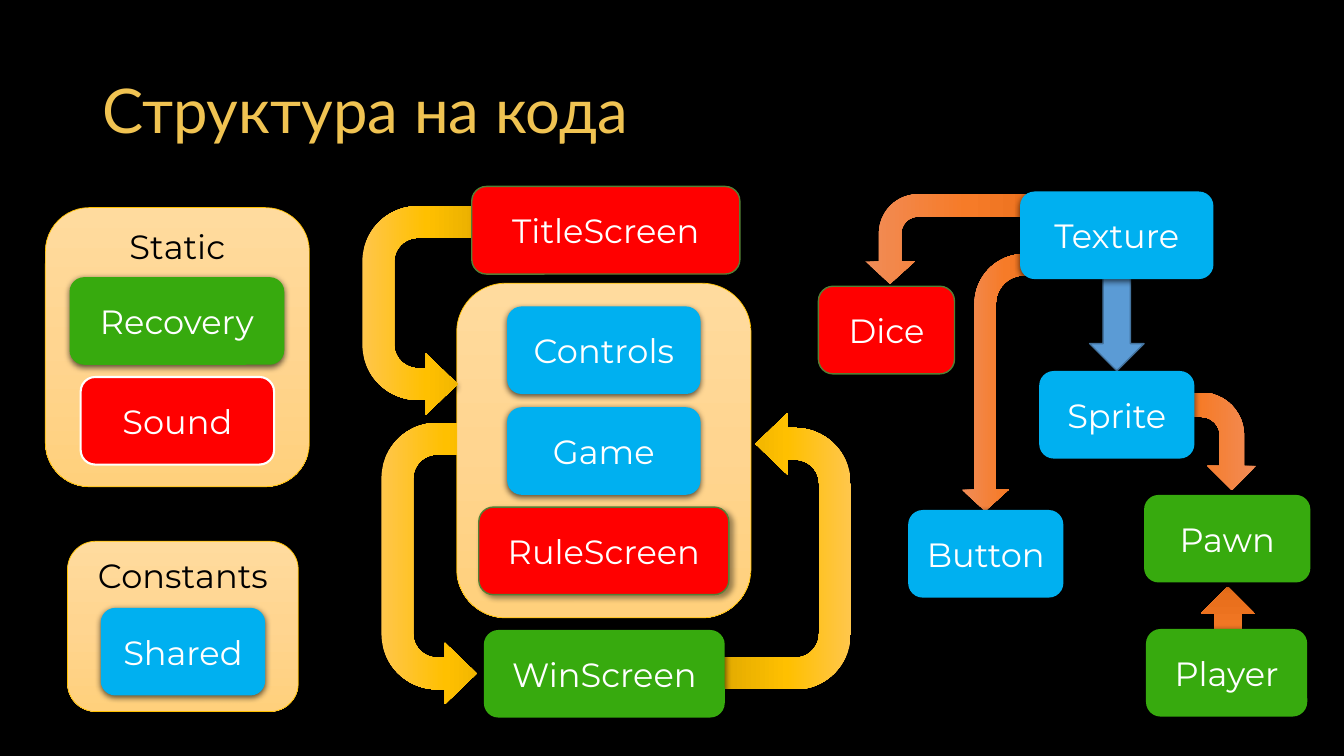
from lxml.etree import SubElement
from pptx import Presentation
from pptx.dml.color import RGBColor
from pptx.enum.shapes import MSO_SHAPE as Preset
from pptx.enum.text import MSO_ANCHOR as Anchor, PP_ALIGN as Align
from pptx.oxml.ns import qn
from pptx.util import Pt

COLORS = {
    "background": "000000", "title": "F0C352", "dark": "000000", "light": "FFFFFF",
    "blue": "00B0F0", "green": "37AA0E", "red": "FF0000",
    "red_edge": "538035", "frame_edge": "FFC000",
    "steel": "5B9BD5", "steel_edge": "43739E",
}
GRADIENTS = {
    "cream": ("FFDB9E", "FFD590", "FFD07C"),
    "orange": ("F18C57", "F67B28", "E56C19"),
    "gold": ("FFC64B", "FFC000", "E3AB00"),
}
SOFT_SHADOW = (63, 4.5, 1.5, 90)
SLANTED_SHADOW = (40, 4, 3, 45)
BOX_HEIGHT = 62.6


def color(name):
    return RGBColor.from_string(COLORS[name])


def write_text(shape, text, size=24, font="Montserrat", ink="light",
               align=Align.CENTER, anchor=Anchor.MIDDLE, line_spacing=None):
    frame = shape.text_frame
    frame.word_wrap = True
    frame.vertical_anchor = anchor
    paragraph = frame.paragraphs[0]
    paragraph.alignment = align
    if line_spacing:
        paragraph.line_spacing = line_spacing
    run = paragraph.add_run()
    run.text = text
    run.font.size = Pt(size)
    run.font.name = font
    run.font.color.rgb = color(ink)


class Diagram:
    def __init__(self, slide):
        self.slide = slide
        slide.background.fill.solid()
        slide.background.fill.fore_color.rgb = color("background")

    def title(self, text, left, top, width, height):
        box = self.slide.shapes.add_textbox(Pt(left), Pt(top), Pt(width), Pt(height))
        write_text(box, text, size=44, font="Lato", ink="title",
                   align=Align.LEFT, line_spacing=0.9)

    def shape(self, preset, place, fill, edge=None, edge_width=1, shadow=None):
        shape = self.slide.shapes.add_shape(preset, *[Pt(length) for length in place])
        if fill in GRADIENTS:
            self.gradient(shape, GRADIENTS[fill])
        else:
            shape.fill.solid()
            shape.fill.fore_color.rgb = color(fill)
        if edge:
            shape.line.color.rgb = color(edge)
            shape.line.width = Pt(edge_width)
        else:
            shape.line.fill.background()
        shape.shadow.inherit = False
        if shadow:
            self.shadow(shape, *shadow)
        return shape

    def gradient(self, shape, stops):
        shape.fill.gradient()
        gradient = shape._element.spPr.find(qn("a:gradFill"))
        stop_list = gradient.find(qn("a:gsLst"))
        stop_list.clear()
        for index, value in enumerate(stops):
            stop = SubElement(stop_list, qn("a:gs"), pos=str(index * 50000))
            SubElement(stop, qn("a:srgbClr"), val=value)
        gradient.find(qn("a:lin")).set("ang", "5400000")

    def shadow(self, shape, opacity, blur, distance, angle):
        effects = shape._element.spPr.find(qn("a:effectLst"))
        outer = SubElement(effects, qn("a:outerShdw"), blurRad=str(Pt(blur)),
                           dist=str(Pt(distance)), dir=str(angle * 60000),
                           rotWithShape="0")
        tint = SubElement(outer, qn("a:srgbClr"), val=COLORS["dark"])
        SubElement(tint, qn("a:alpha"), val=str(opacity * 1000))

    def frame(self, place, text=None):
        shape = self.shape(Preset.ROUNDED_RECTANGLE, place, "cream", "frame_edge", 0.5)
        if text:
            write_text(shape, text, ink="dark", anchor=Anchor.TOP)

    def box(self, text, left, top, width, fill, **style):
        shape = self.shape(Preset.ROUNDED_RECTANGLE, (left, top, width, BOX_HEIGHT),
                           fill, **style)
        write_text(shape, text)

    def arrow(self, preset, place, fill, rotation=0, flip=False, adjustments=()):
        shape = self.shape(preset, place, fill, shadow=SOFT_SHADOW)
        shape.rotation = rotation
        if flip:
            shape._element.spPr.xfrm.set("flipV", "1")
        for index, value in enumerate(adjustments):
            shape.adjustments[index] = value

    def loop(self, place, rotation):
        self.arrow(Preset.U_TURN_ARROW, place, "gold", rotation, True,
                   (0.25, 0.241, 0.25, 0.438, 0.75))


def main():
    presentation = Presentation()
    presentation.slide_width = Pt(960)
    presentation.slide_height = Pt(540)
    diagram = Diagram(presentation.slides.add_slide(presentation.slide_layouts[6]))

    diagram.title("Структура на кода", 66, 28.8, 828, 104.4)

    diagram.arrow(Preset.BENT_ARROW, (625.7, 242.6, 183.6, 61.2), "orange", 90, True,
                  (0.25, 0.275, 0.25, 0.581))
    diagram.arrow(Preset.DOWN_ARROW, (857.5, 419, 38.9, 77), "orange", 180)
    diagram.arrow(Preset.BENT_ARROW, (822.2, 275, 69.8, 80.6), "orange", 90)
    diagram.arrow(Preset.BENT_ARROW, (657.4, 99.4, 64.1, 142.6), "orange", 90, True,
                  (0.25, 0.275, 0.25, 0.438))
    diagram.shape(Preset.DOWN_ARROW, (778.3, 187.9, 38.9, 77), "steel", "steel_edge")

    diagram.loop((463.7, 348.5, 197.3, 90.7), 270)
    diagram.loop((217.4, 357.1, 200.9, 90.7), 90)
    diagram.frame((326.2, 202.3, 210.2, 239))
    diagram.loop((229.7, 176.4, 149, 90.7), 90)
    diagram.frame((32.4, 148.3, 188.6, 199.4), "Static")
    diagram.frame((48.2, 386.6, 164.9, 121.7), "Constants")

    for text, left, top, width, fill in (
        ("Recovery", 49.7, 198, 153.4, "green"),
        ("WinScreen", 345.6, 450, 172.1, "green"),
        ("Player", 818.6, 449.3, 115.2, "green"),
        ("Pawn", 817.2, 353.5, 118.8, "green"),
        ("Controls", 362.2, 218.9, 138.2, "blue"),
        ("Game", 362.2, 290.9, 138.2, "blue"),
        ("Texture", 728.6, 136.8, 138.2, "blue"),
        ("Sprite", 742.3, 265, 110.9, "blue"),
        ("Shared", 72, 434.2, 117.4, "blue"),
        ("Button", 648.7, 364.3, 110.9, "blue"),
    ):
        diagram.box(text, left, top, width, fill, shadow=SOFT_SHADOW)

    for text, left, top, width in (
        ("TitleScreen", 337, 133.2, 191.5),
        ("Dice", 584.6, 204.5, 97.2),
        ("RuleScreen", 342, 362.2, 178.6),
    ):
        diagram.box(text, left, top, width, "red", edge="red_edge", shadow=SLANTED_SHADOW)

    diagram.box("Sound", 57.6, 269.3, 138.2, "red", edge="light", edge_width=1.5)

    presentation.save("out.pptx")


if __name__ == "__main__":
    main()
